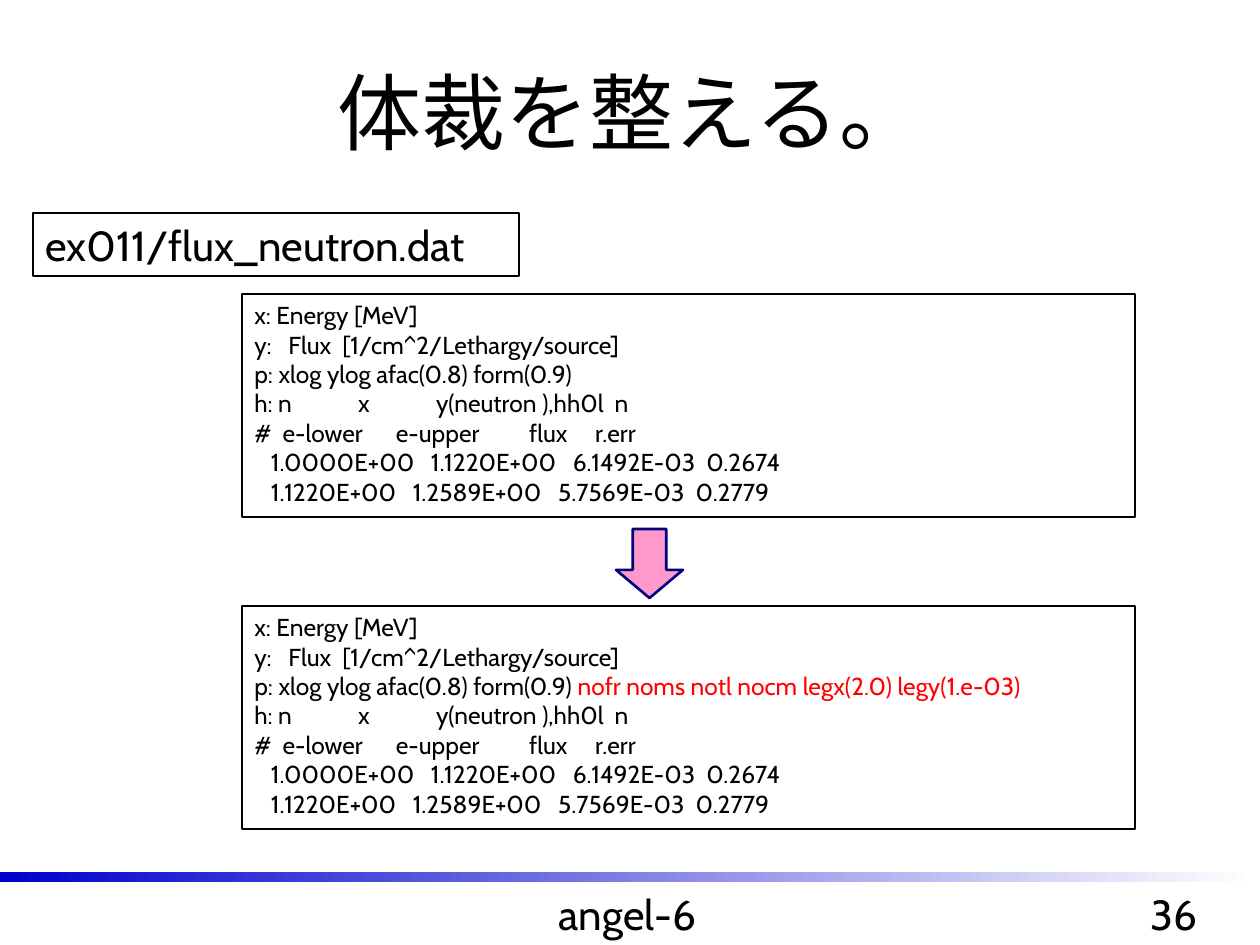
import pptx
import pptx.dml.color
import pptx.enum.shapes
import pptx.enum.text
import pptx.util
from dataclasses import dataclass

PX = 914400 / 126
KIND = pptx.enum.shapes.MSO_SHAPE
ALIGN = pptx.enum.text.PP_ALIGN
ANCHOR = pptx.enum.text.MSO_ANCHOR
RGB = pptx.dml.color.RGBColor.from_string


@dataclass
class Theme:
    ink: str = "000000"
    paper: str = "FFFFFF"
    mark: str = "FF0000"
    bar: str = "0000CC"
    pink: str = "FF99CC"
    navy: str = "000080"
    serif: str = "Times New Roman"
    sans: str = "Cabin"
    title: int = 48
    label: int = 24
    code: int = 14
    edge: float = 1.5


theme = Theme()
deck = pptx.Presentation()
deck.slide_width = round(1260 * PX)
deck.slide_height = round(945 * PX)
slide = deck.slides.add_slide(deck.slide_layouts[6])


def draw(kind, place, line=None, fill=None):
    shape = slide.shapes.add_shape(kind, *[round(n * PX) for n in place])
    shape.shadow.inherit = False
    if fill:
        shape.fill.solid()
        shape.fill.fore_color.rgb = RGB(fill)
    else:
        shape.fill.background()
    if line:
        shape.line.color.rgb = RGB(line)
        shape.line.width = pptx.util.Pt(theme.edge)
    else:
        shape.line.fill.background()
    return shape


def write(shape, lines, size, align=ALIGN.LEFT, face=theme.sans, anchor=ANCHOR.TOP):
    """Fill a shape with lines, each a list of (text, colour) runs."""
    frame = shape.text_frame
    frame.word_wrap = True
    frame.vertical_anchor = anchor
    for i, line in enumerate(lines):
        para = frame.add_paragraph() if i else frame.paragraphs[0]
        para.alignment = align
        para.font.name = face
        para.font.size = pptx.util.Pt(size)
        para.font.color.rgb = RGB(theme.ink)
        for text, color in line:
            run = para.add_run()
            run.text = text
            if color != theme.ink:
                run.font.color.rgb = RGB(color)


# Title and footer
for text, place, size, face, anchor in [
    ("体裁を整える。", (32, 32, 1197, 157), theme.title, theme.serif, ANCHOR.MIDDLE),
    ("angel-6", (302, 882, 651, 63), theme.label, theme.sans, ANCHOR.TOP),
    ("36", (1124, 882, 100, 63), theme.label, theme.sans, ANCHOR.TOP),
]:
    box = slide.shapes.add_textbox(*[round(n * PX) for n in place])
    write(box, [[(text, theme.ink)]], size, ALIGN.CENTER, face, anchor)

bar = draw(KIND.RECTANGLE, (0, 872, 1255, 10))
bar.fill.gradient()
bar.fill.gradient_angle = 0
for stop, color in zip(bar.fill.gradient_stops, (theme.bar, theme.paper)):
    stop.color.rgb = RGB(color)

# File name
name = draw(KIND.RECTANGLE, (33, 213, 486, 63), theme.ink)
write(name, [[("ex011/flux_neutron.dat", theme.ink)]], theme.label)

# Data file before and after the added options
rows = [
    "x: Energy [MeV]",
    "y:   Flux  [1/cm^2/Lethargy/source]",
    "p: xlog ylog afac(0.8) form(0.9)",
    "h: n            x            y(neutron ),hh0l  n",
    "#  e-lower      e-upper         flux     r.err",
    "   1.0000E+00   1.1220E+00   6.1492E-03  0.2674",
    "   1.1220E+00   1.2589E+00   5.7569E-03  0.2779",
]
for top, extra in [(294, ""), (606, " nofr noms notl nocm legx(2.0) legy(1.e-03)")]:
    lines = [[(row, theme.ink)] for row in rows]
    if extra:
        lines[2].append((extra, theme.mark))
    panel = draw(KIND.RECTANGLE, (242, top, 893, 223), theme.ink, theme.paper)
    write(panel, lines, theme.code)

arrow = draw(KIND.RIGHT_ARROW, (615, 530, 69, 67), theme.navy, theme.pink)
arrow.rotation = 90
arrow.adjustments[0] = 0.5
arrow.adjustments[1] = 0.42

deck.save("out.pptx")
